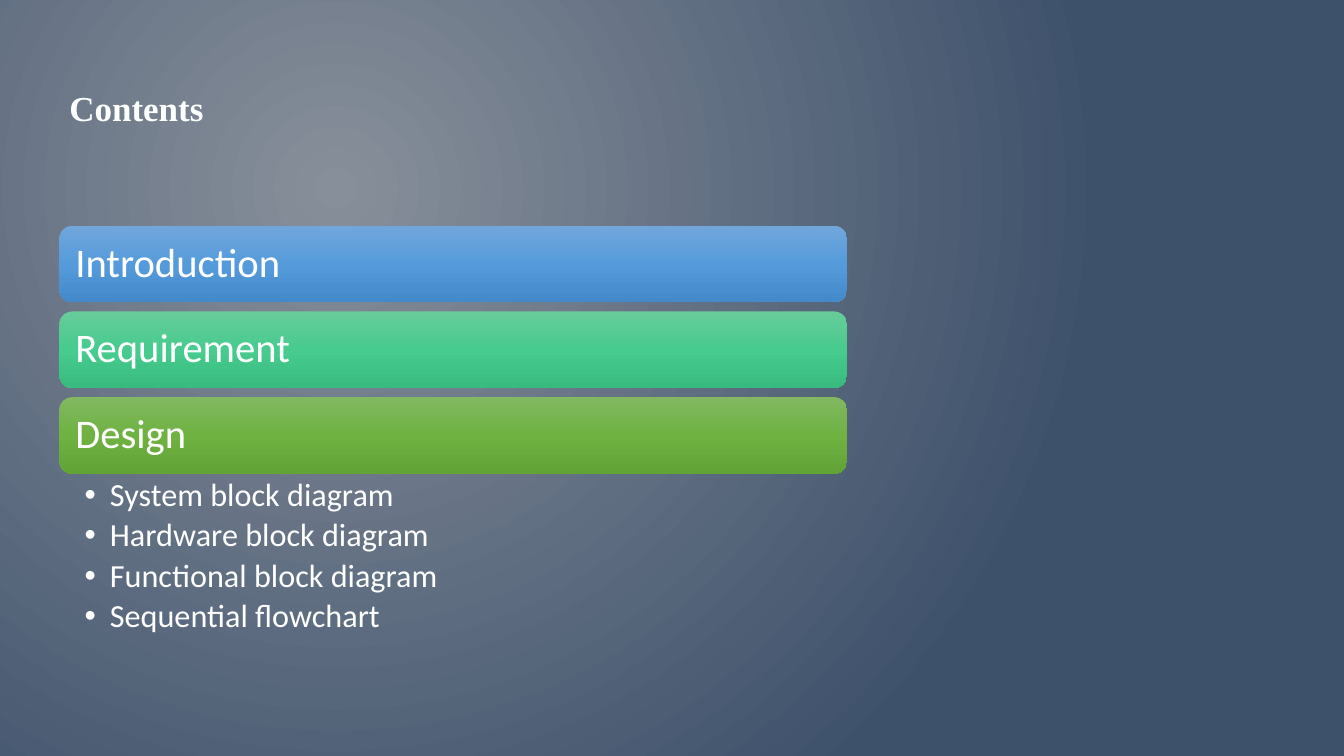
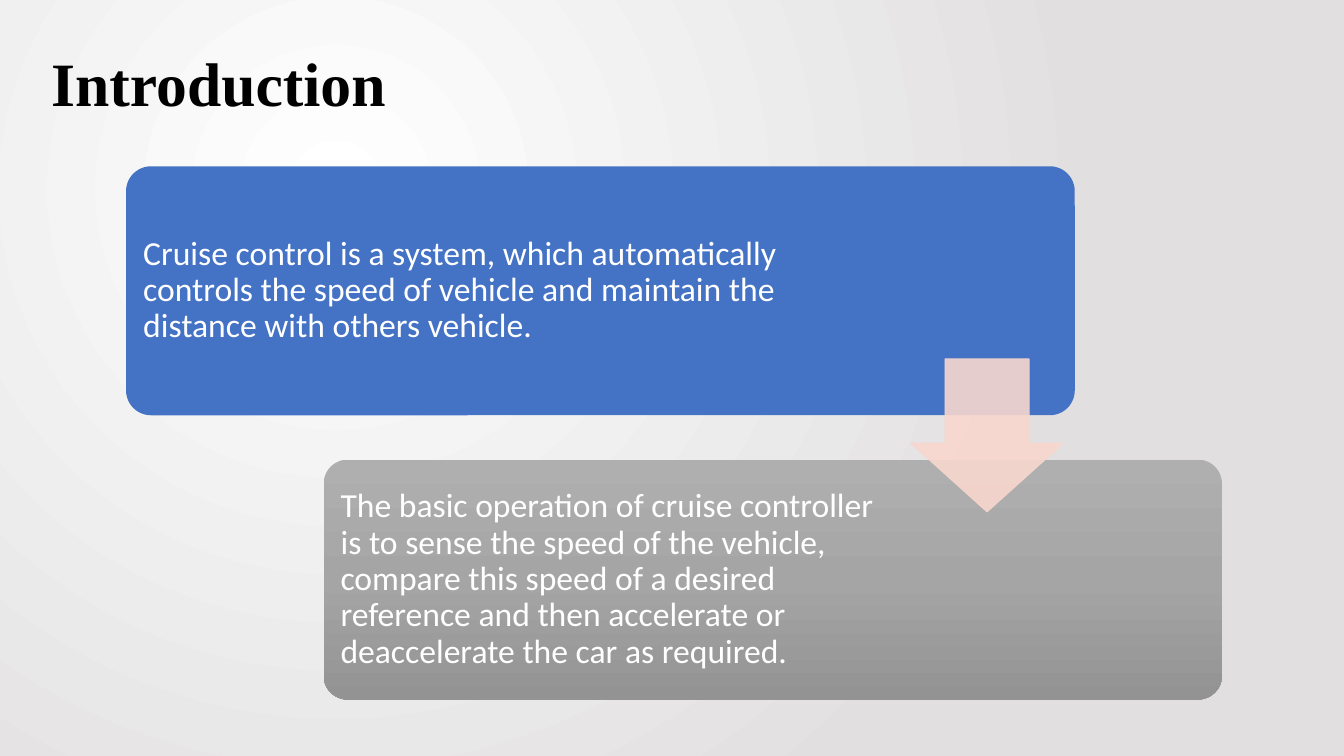
from dataclasses import dataclass

from lxml import etree
from pptx import Presentation
from pptx.dml.color import RGBColor as RGB
from pptx.enum.shapes import MSO_SHAPE as SHAPE
from pptx.enum.text import MSO_ANCHOR as ANCHOR, PP_ALIGN as ALIGN
from pptx.oxml.ns import qn
from pptx.util import Inches, Pt


@dataclass(frozen=True)
class Theme:
    # Colours
    white: str = "FFFFFF"
    black: str = "000000"
    title_light: str = "FEFFFF"
    night: tuple = ("878F9A", "3E516B")
    day: tuple = ("FFFFFF", "E1DFDF")
    sky: tuple = ("71A6DB", "559BDB", "448ACA")
    mint: tuple = ("67CC9A", "47CB8E", "39BB7F")
    leaf: tuple = ("81B861", "6FB242", "62A336")
    stone: tuple = ("AFAFAF", "A5A5A5", "939393")
    royal: str = "4472C4"
    blush: str = "F8D7CE"
    # Fonts and sizes
    title_font: str = "Times New Roman"
    body_font: str = "Calibri"
    small_title: int = 25
    big_title: int = 44
    bar_size: int = 29
    card_size: int = 24
    bullet_size: int = 23
    line_spacing: float = 0.9


class Deck:
    def __init__(self, theme):
        self.theme = theme
        self.prs = Presentation()
        self.prs.slide_width = Inches(13.33)
        self.prs.slide_height = Inches(7.5)
        self.s = None

    def slide(self, colors):
        """Start a slide whose background radiates from its upper left."""
        self.s = self.prs.slides.add_slide(self.prs.slide_layouts[6])
        self.s.background.fill.gradient()
        grad = self.gradient(self.s.element, colors)
        circle = etree.SubElement(grad, qn("a:path"), {"path": "circle"})
        etree.SubElement(circle, qn("a:fillToRect"),
                         l="50000", t="50000", r="100000", b="100000")

    def gradient(self, element, colors):
        """Replace the stops of a gradient with evenly spaced colours."""
        grad = next(element.iter(qn("a:gradFill")))
        for child in list(grad):
            grad.remove(child)
        stops = etree.SubElement(grad, qn("a:gsLst"))
        for i, color in enumerate(colors):
            pos = 100000 * i // (len(colors) - 1)
            gs = etree.SubElement(stops, qn("a:gs"), pos=str(pos))
            etree.SubElement(gs, qn("a:srgbClr"), val=color)
        return grad

    def shape(self, kind, box, fill, adjust=()):
        sp = self.s.shapes.add_shape(kind, *map(Inches, box))
        sp.shadow.inherit = False
        sp.line.fill.background()
        for i, value in enumerate(adjust):
            sp.adjustments[i] = value
        if isinstance(fill, str):
            sp.fill.solid()
            sp.fill.fore_color.rgb = RGB.from_string(fill)
        else:
            sp.fill.gradient()
            grad = self.gradient(sp.element, fill)
            etree.SubElement(grad, qn("a:lin"), ang="5400000", scaled="0")
        return sp

    def frame(self, sp, margins, anchor):
        tf = sp.text_frame
        tf.word_wrap = True
        tf.vertical_anchor = anchor
        (tf.margin_left, tf.margin_top,
         tf.margin_right, tf.margin_bottom) = map(Inches, margins)
        return tf

    def add_text(self, p, text, size, color, font=None, bold=False):
        p.alignment = ALIGN.LEFT
        p.line_spacing = self.theme.line_spacing
        r = p.add_run()
        r.text = text
        r.font.name = font or self.theme.body_font
        r.font.size = Pt(size)
        r.font.bold = bold
        r.font.color.rgb = RGB.from_string(color)

    def title(self, text, box, size, color, anchor=ANCHOR.MIDDLE):
        sp = self.s.shapes.add_textbox(*map(Inches, box))
        tf = self.frame(sp, (0.1, 0.05, 0.1, 0.05), anchor)
        self.add_text(tf.paragraphs[0], text, size, color,
                      self.theme.title_font, True)

    def panel(self, text, box, fill, size, inset, right=None, adjust=()):
        """A rounded rectangle with its text centred vertically."""
        sp = self.shape(SHAPE.ROUNDED_RECTANGLE, box, fill, adjust)
        margins = (inset, inset, right or inset, inset)
        tf = self.frame(sp, margins, ANCHOR.MIDDLE)
        self.add_text(tf.paragraphs[0], text, size, self.theme.white)

    def bullets(self, items, box):
        sp = self.s.shapes.add_textbox(*map(Inches, box))
        tf = self.frame(sp, (0.25, 0.04, 0.23, 0.04), ANCHOR.TOP)
        for i, item in enumerate(items):
            p = tf.add_paragraph() if i else tf.paragraphs[0]
            pPr = p._p.get_or_add_pPr()
            pPr.set("marL", str(Inches(0.25)))
            pPr.set("indent", str(-Inches(0.25)))
            etree.SubElement(pPr, qn("a:buFont"), typeface="Arial")
            etree.SubElement(pPr, qn("a:buChar"), char="•")
            p.space_after = Pt(4)
            self.add_text(p, item, self.theme.bullet_size, self.theme.white)

    def down_arrow(self, box, color, opacity):
        sp = self.shape(SHAPE.DOWN_ARROW, box, color, (0.55, 0.45))
        sp.line.color.rgb = RGB.from_string(color)
        sp.line.width = Pt(0.5)
        for clr in sp.element.spPr.iter(qn("a:srgbClr")):
            etree.SubElement(clr, qn("a:alpha"), val=str(opacity * 1000))


def contents(deck):
    t = deck.theme
    deck.slide(t.night)
    deck.title("Contents", (0.59, 0.86, 7.81, 0.85), t.small_title,
               t.title_light, ANCHOR.TOP)
    # Section bars, evenly stacked
    left, top, width, height, gap = 0.59, 2.24, 7.81, 0.76, 0.09
    bars = [("Introduction", t.sky), ("Requirement", t.mint),
            ("Design", t.leaf)]
    for i, (text, colors) in enumerate(bars):
        deck.panel(text, (left, top + i * (height + gap), width, height),
                   colors, t.bar_size, 0.12)
    # Topics of the last section
    deck.bullets(["System block diagram", "Hardware block diagram",
                  "Functional block diagram", "Sequential flowchart"],
                 (left, 4.71, width, 1.74))


def introduction(deck):
    t = deck.theme
    deck.slide(t.day)
    deck.title("Introduction", (0.41, 0.34, 6.79, 1.03), t.big_title, t.black)
    # Stepped cards, with room for the arrow at the right
    cards = [
        ("Cruise control is a system, which automatically controls the speed "
         "of vehicle and maintain the distance with others vehicle.",
         (1.25, 1.65, 9.41, 2.47), t.royal, 2.44),
        ("The basic operation of cruise controller is to sense the speed of "
         "the vehicle, compare this speed of a desired reference and then "
         "accelerate or deaccelerate the car as required.",
         (3.21, 4.56, 8.91, 2.38), t.stone, 3.15),
    ]
    for text, box, fill, right in cards:
        deck.panel(text, box, fill, t.card_size, 0.1, right, (0.1,))
    deck.down_arrow((9.03, 3.56, 1.52, 1.52), t.blush, 90)


def main():
    deck = Deck(Theme())
    contents(deck)
    introduction(deck)
    deck.prs.save("out.pptx")


if __name__ == "__main__":
    main()
